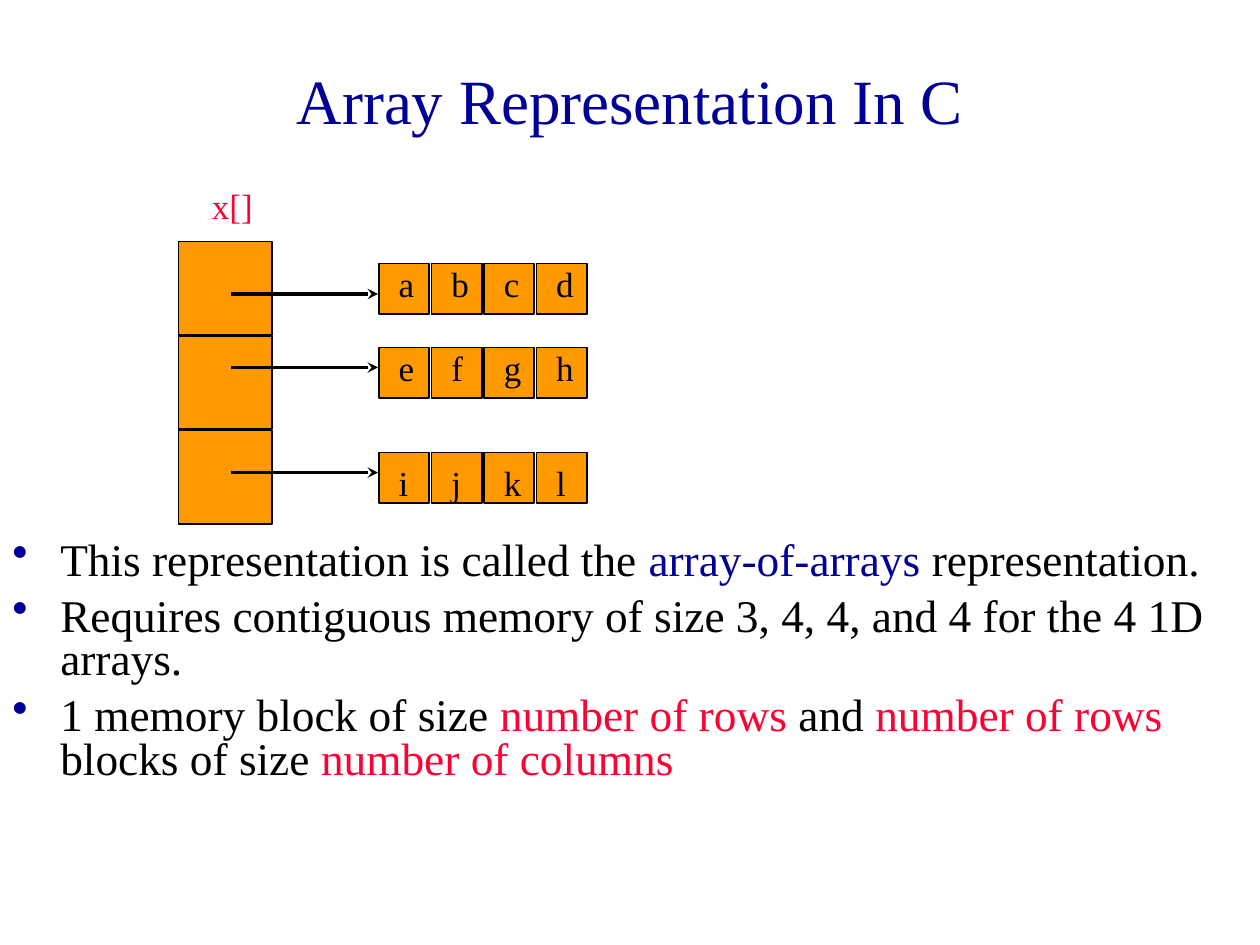
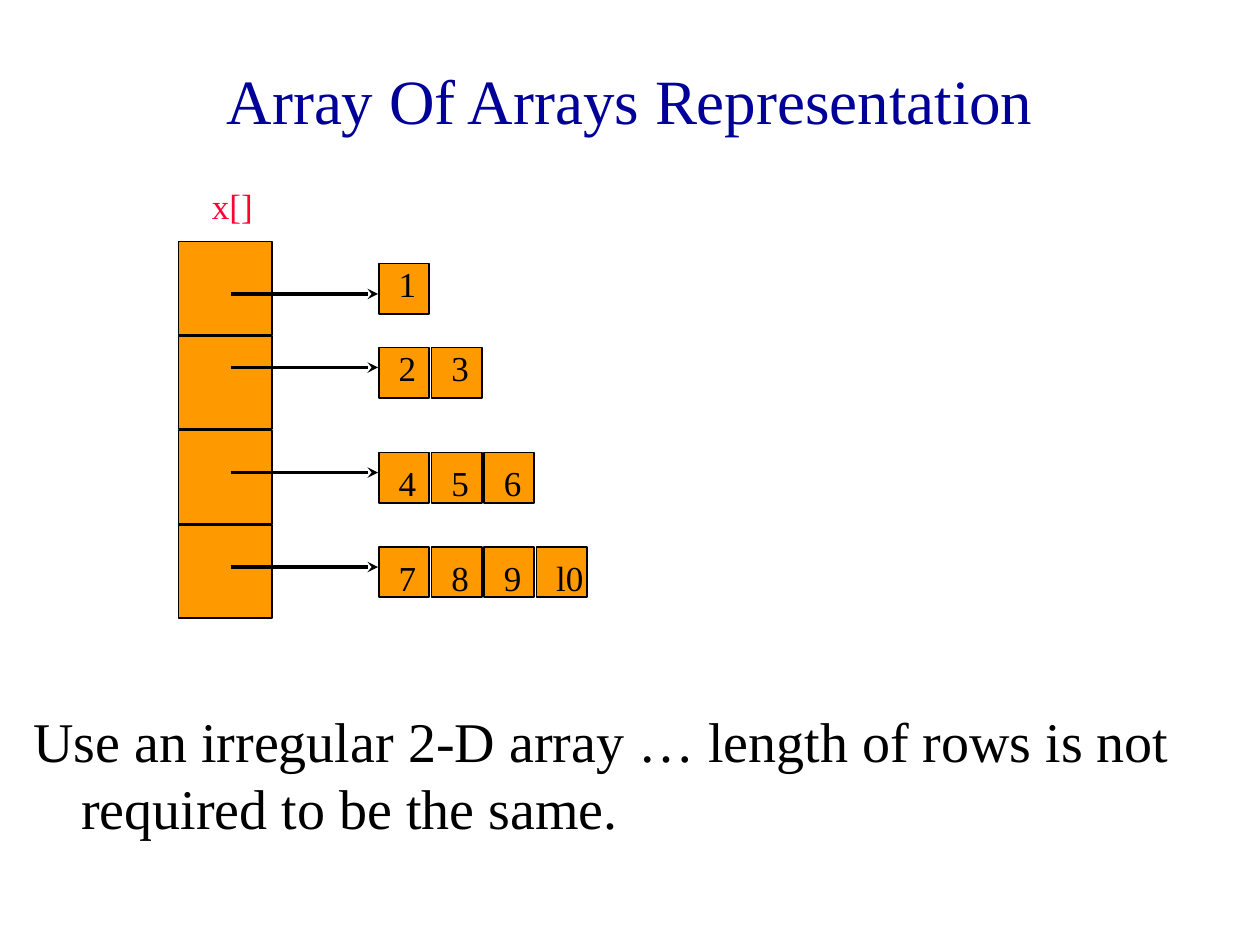
from lxml import etree
from pptx import Presentation
from pptx.dml.color import RGBColor
from pptx.enum.shapes import MSO_CONNECTOR, MSO_SHAPE
from pptx.enum.text import MSO_ANCHOR, PP_ALIGN
from pptx.oxml.ns import qn
from pptx.util import Inches, Pt

STRAIGHT = MSO_CONNECTOR.STRAIGHT
RECT = MSO_SHAPE.RECTANGLE
TOP, MIDDLE = MSO_ANCHOR.TOP, MSO_ANCHOR.MIDDLE
LEFT, CENTER = PP_ALIGN.LEFT, PP_ALIGN.CENTER

BLACK = RGBColor(0x00, 0x00, 0x00)
NAVY = RGBColor(0x00, 0x00, 0x99)
RED = RGBColor(0xFF, 0x00, 0x33)
ORANGE = RGBColor(0xFF, 0x99, 0x00)

FONT = "Times New Roman"
WIDTH, HEIGHT = Inches(10), Inches(7.5)
COLS, ROWS = 120, 90
POINTER_TOP, POINTER_PITCH = 23, 9
CELL_LEFT, CELL_PITCH = 36, 5
ROW_LAYOUT = [(25, 28, 24.4), (33, 35, 32.4), (43, 45, 43.4), (52, 54, 52.4)]


class Deck:
    def __init__(self):
        self.prs = Presentation()
        self.prs.slide_width, self.prs.slide_height = WIDTH, HEIGHT
        self.slide = None

    def grid(self, *lengths):
        units = (WIDTH / COLS, HEIGHT / ROWS)
        return [round(n * units[i % 2]) for i, n in enumerate(lengths)]

    def new_slide(self, title):
        self.slide = self.prs.slides.add_slide(self.prs.slide_layouts[6])
        self.text((3, 2, 114, 15), [[(title, NAVY)]], 36,
                  frame={"vertical_anchor": MIDDLE}, para={"alignment": CENTER})

    def text(self, box, paragraphs, size, frame=None, para=None,
             hanging=False, bullet=False, space=0):
        sp = self.slide.shapes.add_textbox(*self.grid(*box))
        tf = sp.text_frame
        settings = {"word_wrap": True, "vertical_anchor": TOP, **(frame or {})}
        for name, value in settings.items():
            setattr(tf, name, value)
        for i, runs in enumerate(paragraphs):
            p = tf.paragraphs[0] if i == 0 else tf.add_paragraph()
            if hanging:
                pPr = p._p.get_or_add_pPr()
                pPr.set("marL", str(Inches(0.38)))
                pPr.set("indent", str(-Inches(0.38)))
            if bullet:
                clr = etree.SubElement(pPr, qn("a:buClr"))
                etree.SubElement(clr, qn("a:srgbClr"), val=str(NAVY))
                etree.SubElement(pPr, qn("a:buChar"), char="•")
            settings = {"alignment": LEFT, "space_before": Pt(space if i else 0), **(para or {})}
            for name, value in settings.items():
                setattr(p, name, value)
            for words, color in runs:
                r = p.add_run()
                r.text = words
                for name, value in {"name": FONT, "size": Pt(size)}.items():
                    setattr(r.font, name, value)
                r.font.color.rgb = color

    def square(self, left, top, side):
        sp = self.slide.shapes.add_shape(RECT, *self.grid(left, top, side, side))
        sp.shadow.inherit = False
        sp.fill.solid()
        sp.fill.fore_color.rgb = ORANGE
        sp.line.color.rgb = BLACK
        sp.line.width = Pt(1)

    def arrow(self, start, end, row):
        cxn = self.slide.shapes.add_connector(STRAIGHT, *self.grid(start, row, end, row))
        cxn.line.color.rgb = BLACK
        cxn.line.width = Pt(2)
        etree.SubElement(cxn.line._get_or_add_ln(), qn("a:tailEnd"), type="stealth")
        etree.SubElement(cxn._element.spPr, qn("a:effectLst"))

    def array_diagram(self, rows):
        self.text((19, 17, 10, 5.2), [[("x[]", RED)]], 20)
        for i in range(len(rows)):
            self.square(17, POINTER_TOP + i * POINTER_PITCH, 8.9)
        for values, (cell_top, arrow_row, label_top) in zip(rows, ROW_LAYOUT):
            for j, value in enumerate(values):
                left = CELL_LEFT + j * CELL_PITCH
                self.square(left + 0.1, cell_top + 0.1, 4.8)
                self.text((left + 0.8, label_top, 4.1, 5.2), [[(value, BLACK)]], 20,
                          frame={"margin_right": 0})
            self.arrow(22, CELL_LEFT, arrow_row)


def main():
    deck = Deck()

    deck.new_slide("Array Representation In C")
    deck.array_diagram(["abcd", "efgh", "ijkl"])
    deck.text((0, 51, 116, 26), [
        [("This representation is called the ", BLACK), ("array-of-arrays", NAVY),
         (" representation.", BLACK)],
        [("Requires contiguous memory of size 3, 4, 4, and 4 for the 4 1D arrays.", BLACK)],
        [("1 memory block of size ", BLACK), ("number of rows ", RED), ("and ", BLACK),
         ("number of rows ", RED), ("blocks of size ", BLACK), ("number of columns", RED)],
    ], 25.9, para={"line_spacing": 0.8}, hanging=True, bullet=True, space=7)

    deck.new_slide("Array Of Arrays Representation")
    deck.array_diagram(["1", "23", "456", ["7", "8", "9", "l0"]])
    deck.text((2, 59, 116, 26), [
        [("Use an irregular 2-D array … length of rows is not required to be the same.", BLACK)],
    ], 32, frame={"margin_top": Inches(0.69)}, hanging=True)

    deck.prs.save("out.pptx")


if __name__ == "__main__":
    main()
